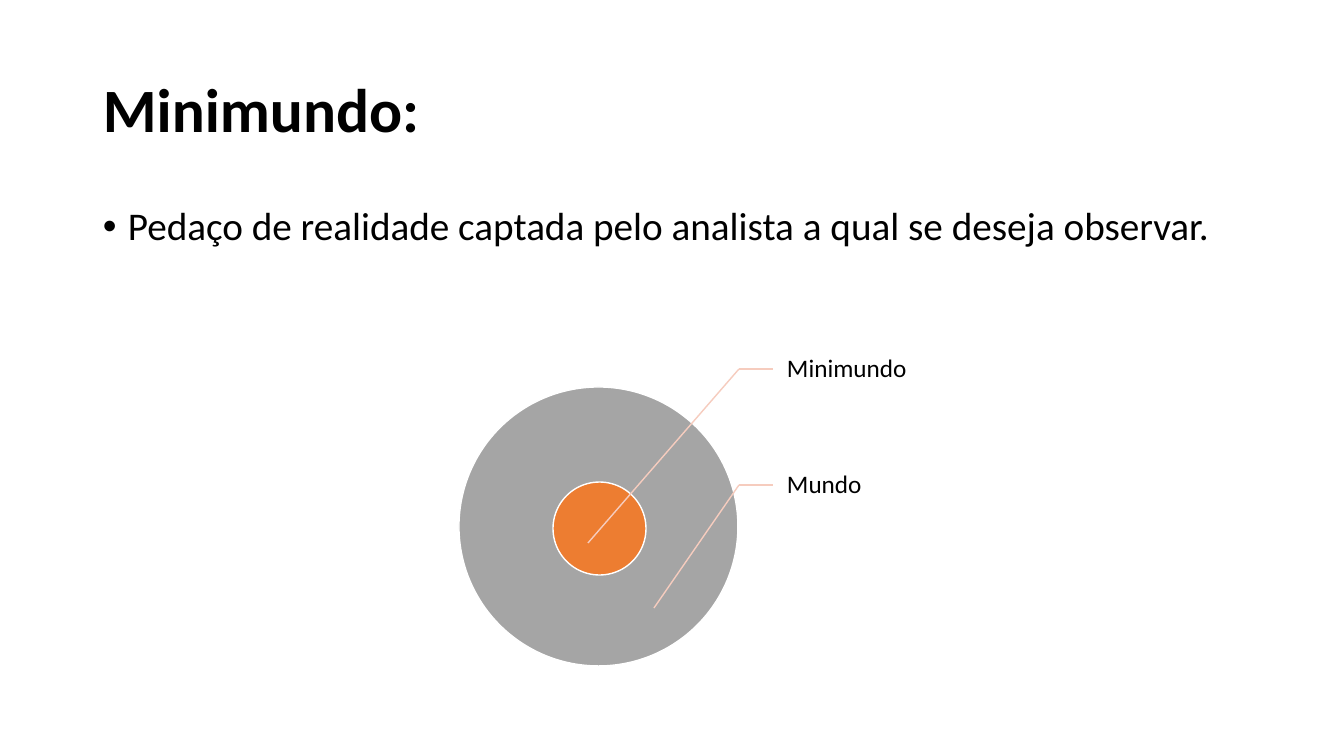
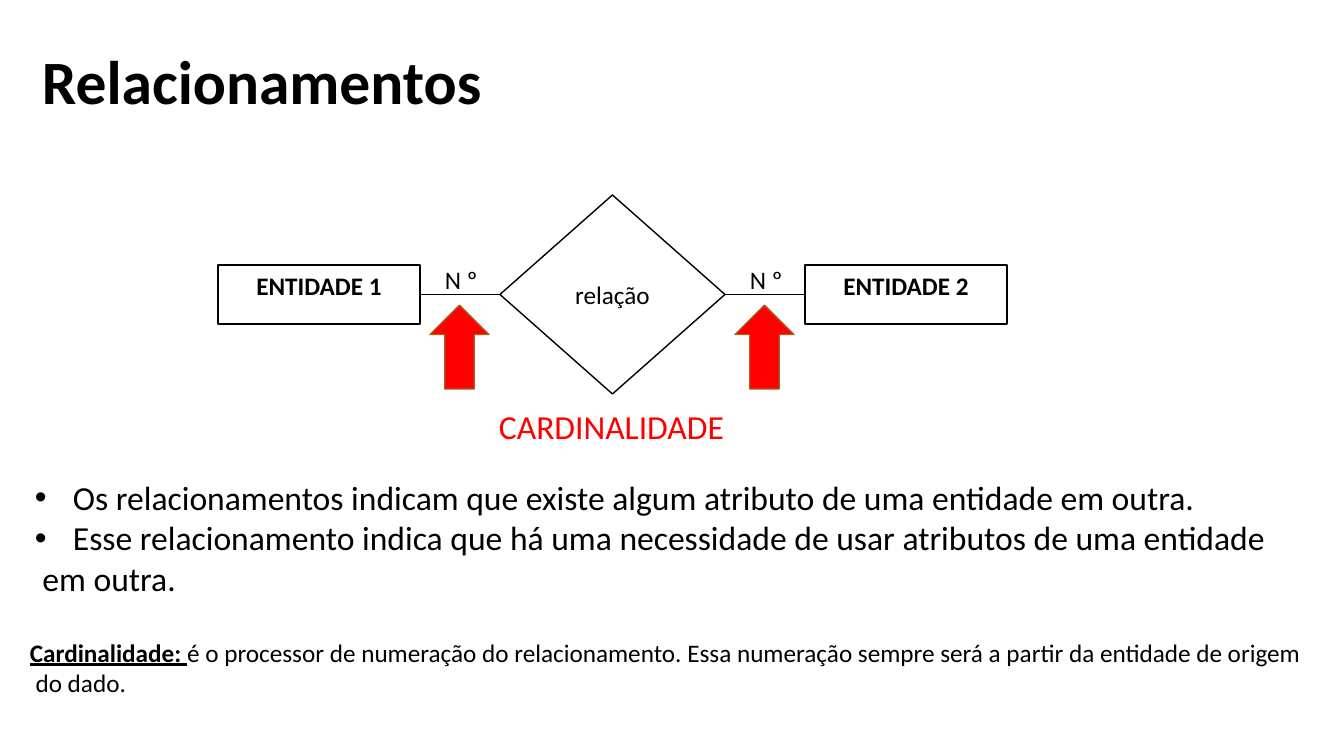
from lxml import etree
from pptx import Presentation, util as u
from pptx.dml.color import RGBColor
from pptx.enum import shapes, text
from pptx.oxml.ns import qn

PIXEL = 914400 / 100.8
FONT = "Calibri"
BLACK = RGBColor(0, 0, 0)
WHITE = RGBColor(255, 255, 255)
RED = RGBColor(255, 0, 0)
GRAY = RGBColor(0xA5, 0xA5, 0xA5)
ORANGE = RGBColor(0xED, 0x7D, 0x31)
BROWN = RGBColor(0xAF, 0x5C, 0x24)
PINK = RGBColor(0xF6, 0xCC, 0xBE)
SHAPE = shapes.MSO_SHAPE
MIDDLE = text.MSO_ANCHOR.MIDDLE
TOP = text.MSO_ANCHOR.TOP


def px(value):
    return u.Emu(round(value * PIXEL))


def area(*values):
    return [px(value) for value in values]


def write(frame, lines, size, color=BLACK, bold=False, anchor=TOP,
          align=None, spacing=None, wrap=True):
    frame.text = "\n".join(lines)
    frame.word_wrap = wrap
    frame.vertical_anchor = anchor
    for para in frame.paragraphs:
        para.alignment = align
        para.line_spacing = spacing
        for span in para.runs:
            style(span, size, color, bold)


def style(span, size, color=BLACK, bold=False):
    font = span.font
    font.name, font.size, font.bold = FONT, u.Pt(size), bold
    font.color.rgb = color


def add_text(page, place, lines, size, **options):
    box = page.shapes.add_textbox(*area(*place))
    write(box.text_frame, lines, size, **options)
    return box.text_frame


def add_title(page, left, top, title):
    add_text(page, (left, top, 1159, 146), [title], 44,
             bold=True, anchor=MIDDLE, spacing=0.9)


def add_bullet(para, indent):
    props = para._p.get_or_add_pPr()
    props.set("marL", str(px(indent)))
    props.set("indent", str(-px(indent)))
    etree.SubElement(props, qn("a:buFont")).set("typeface", "Arial")
    etree.SubElement(props, qn("a:buChar")).set("char", "•")


def add_figure(page, kind, place, fill, outline):
    figure = page.shapes.add_shape(kind, *area(*place))
    figure.shadow.inherit = False
    figure.fill.solid()
    figure.fill.fore_color.rgb = fill
    figure.line.color.rgb = outline
    figure.line.width = u.Pt(1)
    return figure


def add_node(page, kind, place, label, anchor, bold):
    node = add_figure(page, kind, place, WHITE, BLACK)
    write(node.text_frame, [label], 18, bold=bold, anchor=anchor,
          align=text.PP_ALIGN.CENTER)


def add_line(page, start, end, color, width):
    line = page.shapes.add_connector(
        shapes.MSO_CONNECTOR.STRAIGHT, *area(*start, *end))
    line.line.color.rgb = color
    line.line.width = u.Pt(width)
    etree.SubElement(line._element.spPr, qn("a:effectLst"))


def add_callout(page, label, y, target):
    elbow, end = (739, y), (773, y)
    frame = add_text(page, (773, y - 58, 139, 116), [label], 18,
                     anchor=MIDDLE, spacing=0.9)
    frame.margin_left = px(14)
    frame.margin_top = frame.margin_right = frame.margin_bottom = px(3)
    add_line(page, elbow, end, PINK, 1)
    add_line(page, elbow, target, PINK, 1)


def build_miniworld(page):
    add_title(page, 93, 40, "Minimundo:")
    frame = add_text(
        page, (93, 202, 1159, 480),
        ["Pedaço de realidade captada pelo analista a qual se deseja observar."],
        28, spacing=0.9)
    frame.paragraphs[0].space_before = u.Pt(10)
    add_bullet(frame.paragraphs[0], 25)

    # World, miniworld and their callouts
    add_figure(page, SHAPE.OVAL, (459, 387, 279, 279), GRAY, WHITE)
    add_figure(page, SHAPE.OVAL, (553, 482, 93, 93), ORANGE, WHITE)
    add_callout(page, "Minimundo", 369, (588, 543))
    add_callout(page, "Mundo", 485, (654, 608))


def build_relationships(page):
    add_title(page, 32, 12, "Relacionamentos")

    # Entities joined through the relationship
    for number, left in enumerate((218, 805), start=1):
        add_node(page, SHAPE.RECTANGLE, (left, 265, 202, 59),
                 f"ENTIDADE {number}", TOP, True)
    add_node(page, SHAPE.FLOWCHART_DECISION, (500, 195, 225, 199),
             "relação", MIDDLE, False)

    # Each link with its cardinality and arrow
    for left in (420, 725):
        add_line(page, (left, 294), (left + 80, 294), BLACK, 0.5)
        add_figure(page, SHAPE.UP_ARROW, (left + 10, 305, 59, 84), RED, BROWN)
        add_text(page, (left + 15, 259, 65, 40), ["N º"], 18)
    add_text(page, (489, 401, 246, 50), ["CARDINALIDADE"], 24, color=RED)

    # Explanation
    frame = add_text(
        page, (25, 472, 1262, 132),
        ["Os relacionamentos indicam que existe algum atributo de uma entidade em outra.",
         "Esse relacionamento indica que há uma necessidade de usar atributos de uma entidade",
         " em outra."], 24, wrap=False)
    for para in frame.paragraphs[:2]:
        add_bullet(para, 38)

    # Definition with its underlined term
    frame = add_text(page, (20, 632, 1303, 72),
                     ["Cardinalidade: ", " do dado."], 18, wrap=False)
    first = frame.paragraphs[0]
    term = first.runs[0]
    term.font.bold = term.font.underline = True
    span = first.add_run()
    span.text = ("é o processor de numeração do relacionamento. Essa numeração "
                 "sempre será a partir da entidade de origem")
    style(span, 18)


def main():
    deck = Presentation()
    deck.slide_width, deck.slide_height = area(1344, 756)
    for build in (build_miniworld, build_relationships):
        build(deck.slides.add_slide(deck.slide_layouts[6]))
    deck.save("out.pptx")


main()
